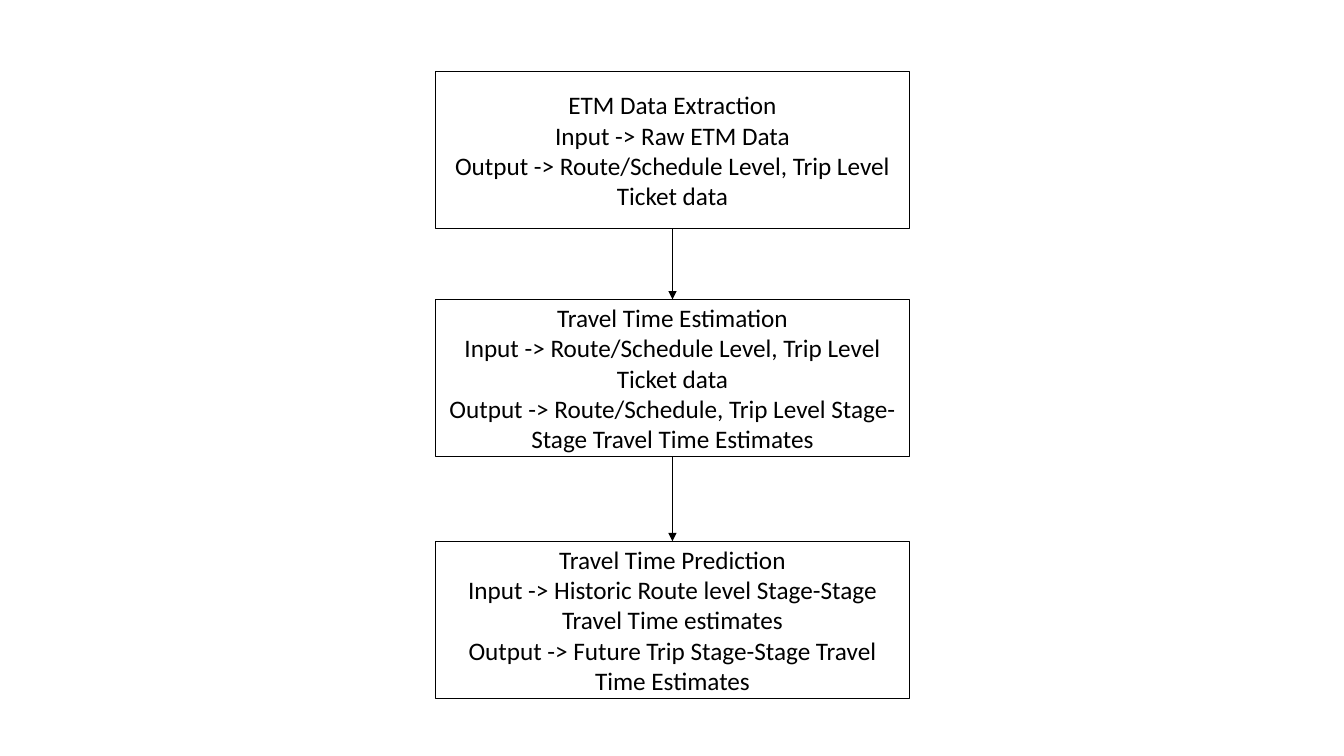
from lxml.etree import SubElement
from pptx import Presentation
from pptx.dml.color import RGBColor
from pptx.enum.shapes import MSO_CONNECTOR, MSO_SHAPE
from pptx.enum.text import MSO_ANCHOR, PP_ALIGN
from pptx.oxml.ns import qn
from pptx.util import Inches, Pt

BLACK, WHITE = "000000", "FFFFFF"
LEFT, WIDTH, HEIGHT = 4.32, 4.7, 1.56
BOTTOM, TOP = 2, 0  # connection sites of a rectangle

# Top of each step, then its lines
STEPS = [
    (0.71, ["ETM Data Extraction",
            "Input -> Raw ETM Data",
            "Output -> Route/Schedule Level, Trip Level Ticket data"]),
    (2.97, ["Travel Time Estimation",
            "Input -> Route/Schedule Level, Trip Level Ticket data",
            "Output -> Route/Schedule, Trip Level Stage-Stage Travel Time Estimates"]),
    (5.37, ["Travel Time Prediction",
            "Input -> Historic Route level Stage-Stage Travel Time estimates",
            "Output -> Future Trip Stage-Stage Travel Time Estimates"]),
]


def color(value):
    return RGBColor.from_string(value)


def set_line(s, width):
    s.line.color.rgb = color(BLACK)
    s.line.width = Pt(width)


def add_step(slide, top, lines):
    s = slide.shapes.add_shape(MSO_SHAPE.FLOWCHART_PROCESS, Inches(LEFT),
                               Inches(top), Inches(WIDTH), Inches(HEIGHT))
    s.shadow.inherit = False
    s.fill.solid()
    s.fill.fore_color.rgb = color(WHITE)
    set_line(s, 1)
    tf = s.text_frame
    tf.word_wrap = True
    tf.vertical_anchor = MSO_ANCHOR.MIDDLE
    for i, line in enumerate(lines):
        p = tf.add_paragraph() if i else tf.paragraphs[0]
        p.alignment = PP_ALIGN.CENTER
        r = p.add_run()
        r.text = line
        for name, value in {"name": "Calibri", "size": Pt(18)}.items():
            setattr(r.font, name, value)
        r.font.color.rgb = color(BLACK)
    return s


def add_arrow(slide, upper, lower):
    s = slide.shapes.add_connector(MSO_CONNECTOR.STRAIGHT, 0, 0, 0, 0)
    s.begin_connect(upper, BOTTOM)
    s.end_connect(lower, TOP)
    set_line(s, 0.5)
    # Arrowhead, and no shadow
    SubElement(s.line._get_or_add_ln(), qn("a:tailEnd"), type="triangle")
    SubElement(s._element.spPr, qn("a:effectLst"))


def main():
    prs = Presentation()
    prs.slide_width, prs.slide_height = Inches(13.33), Inches(7.5)
    slide = prs.slides.add_slide(prs.slide_layouts[6])

    # Process steps
    boxes = [add_step(slide, top, lines) for top, lines in STEPS]

    # Arrows between neighbouring steps
    for upper, lower in zip(boxes, boxes[1:]):
        add_arrow(slide, upper, lower)

    prs.save("out.pptx")


if __name__ == "__main__":
    main()
